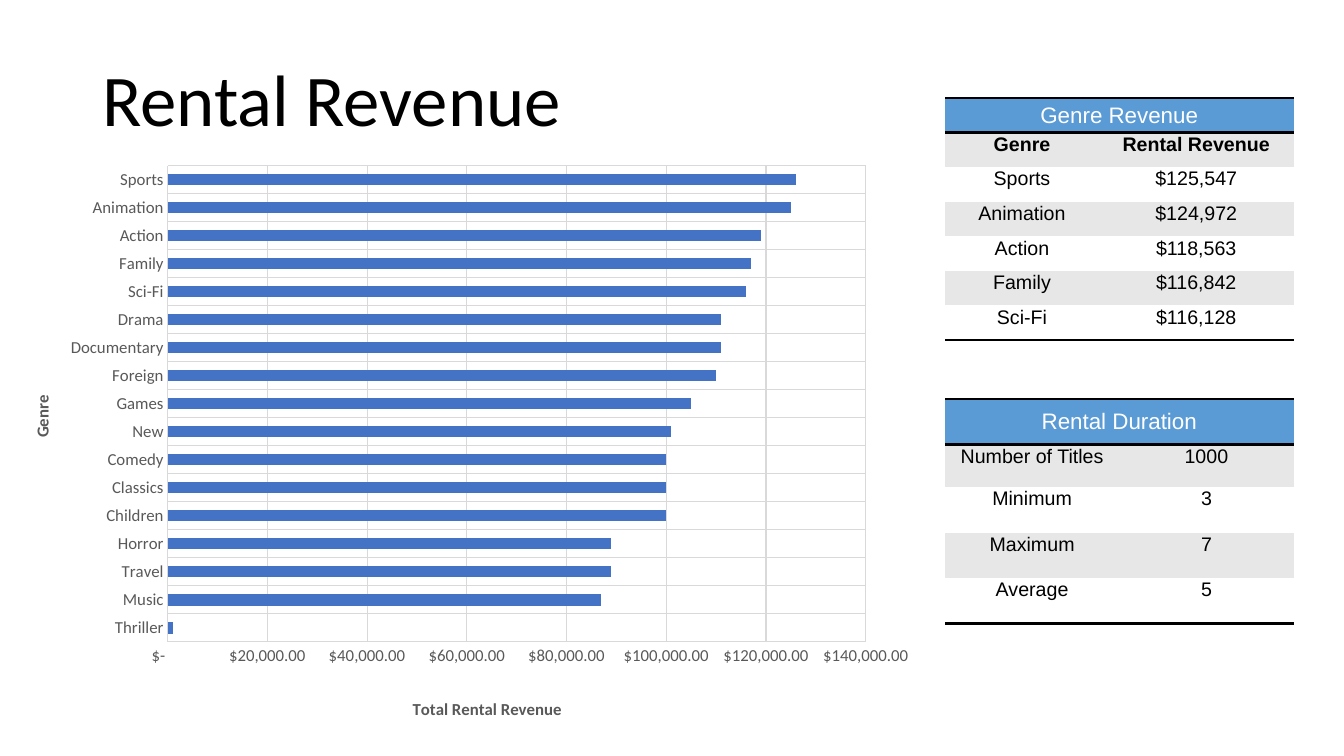
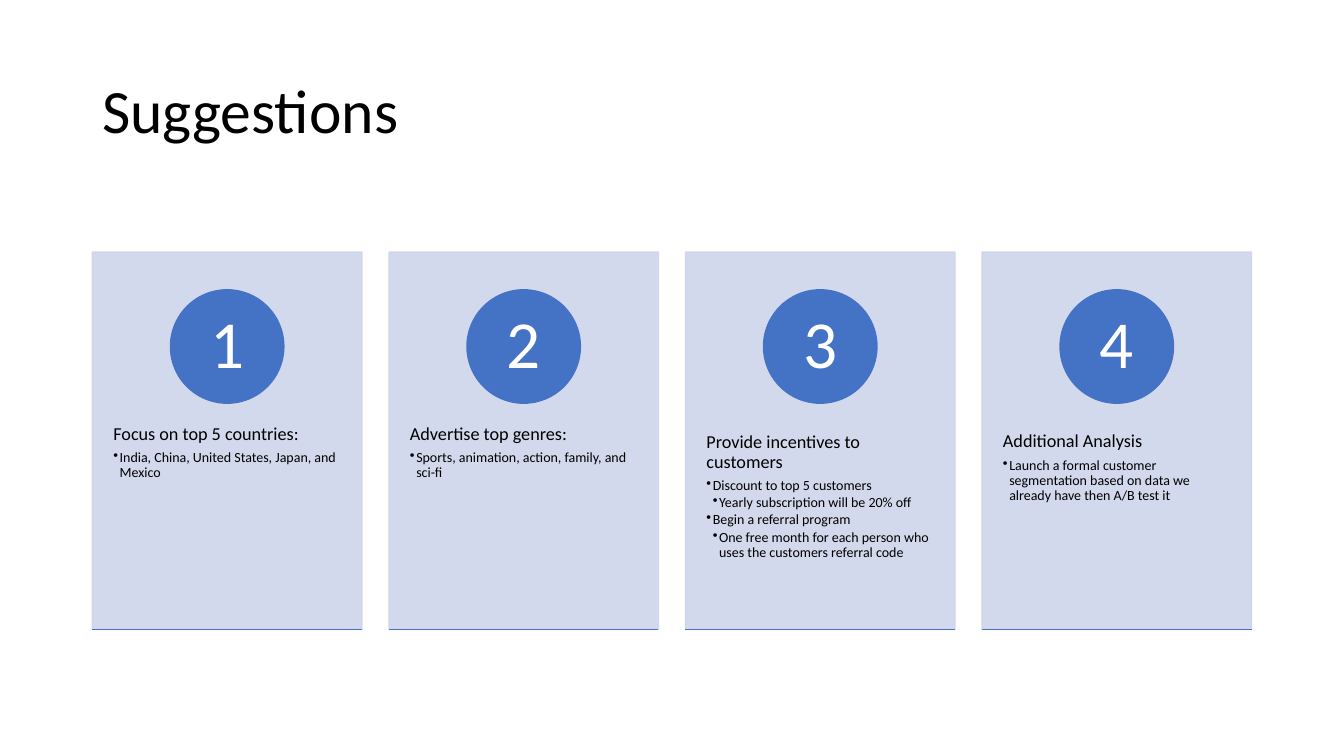
from lxml import etree
from pptx import Presentation
from pptx.chart.data import CategoryChartData
from pptx.dml.color import RGBColor
from pptx.enum import chart as ch, shapes, text
from pptx.oxml import parse_xml
from pptx.oxml.ns import nsdecls, qn
from pptx.util import Pt

COLORS = {
    "black": "000000", "white": "FFFFFF", "blue": "4472C4", "header": "5B9BD5",
    "band": "E7E7E7", "card": "CFD5EA", "grid": "D9D9D9", "axis": "595959",
}
RGB = {name: RGBColor.from_string(value) for name, value in COLORS.items()}
MARGIN, CONTENT_W = 66, 828
NO_STYLE = "{2D5ABB26-0587-4C30-8999-92F81FD0307C}"


def write(tf, content, size=14, color="black", font="Calibri", bold=False,
          align=text.PP_ALIGN.LEFT, spacing=None, after=0, level=0):
    """Add a paragraph to a text frame; level 1 and up is bulleted."""
    p = tf.paragraphs[0]
    if p.runs:
        p = tf.add_paragraph()
    if level:
        pPr = p._p.get_or_add_pPr()
        pPr.set("marL", str(Pt(4.5 * level)))
        pPr.set("indent", str(-Pt(4.5)))
        etree.SubElement(pPr, qn("a:buChar")).set("char", "•")
    p.alignment = align
    p.line_spacing = spacing
    p.space_after = Pt(after)
    r = p.add_run()
    r.text = content
    r.font.size, r.font.name, r.font.bold = Pt(size), font, bold
    r.font.color.rgb = RGB[color]


def place(parent, index, **position):
    """Give a chart part a manual layout, in fractions of the chart."""
    for old in parent.findall(qn("c:layout")):
        parent.remove(old)
    layout = parse_xml(f"<c:layout {nsdecls('c')}><c:manualLayout/></c:layout>")
    modes = {"xMode": "edge", "yMode": "edge"}
    if "w" in position:
        modes = {"layoutTarget": "inner", **modes}
    for tag, value in {**modes, **position}.items():
        etree.SubElement(layout[0], qn(f"c:{tag}")).set("val", str(value))
    parent.insert(index, layout)


prs = Presentation()
prs.slide_width, prs.slide_height = Pt(960), Pt(540)
slides = []
for title, top, height, size in [("Rental Revenue", 14.5, 118.5, 52),
                                 ("Suggestions", 28.75, 104.4, 44)]:
    s = prs.slides.add_slide(prs.slide_layouts[6])
    tf = s.shapes.add_textbox(Pt(MARGIN), Pt(top), Pt(CONTENT_W), Pt(height)).text_frame
    tf.word_wrap = True
    tf.vertical_anchor = text.MSO_ANCHOR.MIDDLE
    write(tf, title, size=size, spacing=0.9)
    slides.append(s)
revenue, suggestions = slides

# Revenue chart
genre_totals = {
    "Thriller": 1000, "Music": 87000, "Travel": 89000, "Horror": 89000,
    "Children": 100000, "Classics": 100000, "Comedy": 100000, "New": 101000,
    "Games": 105000, "Foreign": 110000, "Documentary": 111000, "Drama": 111000,
    "Sci-Fi": 116000, "Family": 117000, "Action": 119000, "Animation": 125000,
    "Sports": 126000,
}
data = CategoryChartData()
data.categories = list(genre_totals)
data.add_series("Series 1", list(genre_totals.values()))
chart = revenue.shapes.add_chart(ch.XL_CHART_TYPE.BAR_CLUSTERED, Pt(0), Pt(110),
                                 Pt(665), Pt(415), data).chart
chart.has_legend = chart.has_title = False
chart.font.size, chart.font.name = Pt(12), "Calibri"
chart.font.color.rgb = RGB["axis"]
plot = chart.plots[0]
plot.gap_width, plot.vary_by_categories = 150, False
plot.series[0].format.fill.solid()
plot.series[0].format.fill.fore_color.rgb = RGB["blue"]

genre_axis, value_axis = chart.category_axis, chart.value_axis
for axis, name, x, y in [(genre_axis, "Genre", 0.03, 0.41),
                         (value_axis, "Total Rental Revenue", 0.44, 0.93)]:
    axis.has_major_gridlines = True
    line = axis.major_gridlines.format.line
    line.color.rgb, line.width = RGB["grid"], Pt(0.75)
    axis.major_tick_mark = ch.XL_TICK_MARK.NONE
    write(axis.axis_title.text_frame, name, size=12, color="axis", bold=True)
    place(axis.axis_title._element, 1, x=x, y=y)
genre_axis.axis_title.text_frame._txBody.bodyPr.set("rot", "-5400000")
genre_axis.format.line.color.rgb = RGB["grid"]
genre_axis.format.line.width = Pt(0.75)
value_axis.format.line.fill.background()
value_axis.minimum_scale, value_axis.maximum_scale = 0, 140000
value_axis.major_unit = 20000
value_axis.tick_labels.number_format = (
    '_("$"* #,##0.00_);_("$"* \\(#,##0.00\\);_("$"* "-"??_);_(@_)')
value_axis.tick_labels.number_format_is_linked = False
place(chart._chartSpace.chart.plotArea, 0, x=0.18, y=0.02, w=0.75, h=0.82)

# Summary tables: heading, top, column widths, row heights, rows, bold first row
tables = [
    ("Genre Revenue", 70, (110, 139), [24.7] * 7,
     [("Genre", "Rental Revenue"), ("Sports", "$125,547"), ("Animation", "$124,972"),
      ("Action", "$118,563"), ("Family", "$116,842"), ("Sci-Fi", "$116,128")], True),
    ("Rental Duration", 285, (124.5, 124.5), [32.5, 30.5, 32.5, 32.5, 32.5],
     [("Number of Titles", "1000"), ("Minimum", "3"), ("Maximum", "7"),
      ("Average", "5")], False),
]
for heading, top, widths, heights, rows, bold_labels in tables:
    table = revenue.shapes.add_table(len(heights), 2, Pt(675), Pt(top),
                                     Pt(sum(widths)), Pt(sum(heights))).table
    table._tbl.tblPr.find(qn("a:tableStyleId")).text = NO_STYLE
    table.first_row = table.horz_banding = False
    for column, width in zip(table.columns, widths):
        column.width = Pt(width)
    table.cell(0, 0).merge(table.cell(0, 1))
    for i, values in enumerate([(heading, ""), *rows]):
        table.rows[i].height = Pt(heights[i])
        edges = {0: ("lnT", "lnB"), len(rows): ("lnB",)}.get(i, ())
        fill = "header" if i == 0 else "band" if i % 2 else "white"
        for j, value in enumerate(values):
            cell = table.cell(i, j)
            cell.margin_left = cell.margin_right = cell.margin_top = Pt(0.75)
            cell.margin_bottom = Pt(0)
            for edge in edges:
                cell._tc.get_or_add_tcPr().append(parse_xml(
                    f'<a:{edge} {nsdecls("a")} w="{Pt(2)}"><a:solidFill>'
                    f'<a:srgbClr val="{COLORS["black"]}"/></a:solidFill></a:{edge}>'))
            cell.fill.solid()
            cell.fill.fore_color.rgb = RGB[fill]
            if i == 0:
                cell.vertical_anchor = text.MSO_ANCHOR.MIDDLE
            if value:
                write(cell.text_frame, value, size=14 if i else 16, font="Arial",
                      color="black" if i else "white", bold=bold_labels and i == 1,
                      align=text.PP_ALIGN.CENTER)

# Suggestion cards: heading, then (level, bullet)
cards = [
    ("Focus on top 5 countries:",
     [(1, "India, China, United States, Japan, and Mexico")]),
    ("Advertise top genres:",
     [(1, "Sports, animation, action, family, and sci-fi")]),
    ("Provide incentives to customers",
     [(1, "Discount to top 5 customers"),
      (2, "Yearly subscription will be 20% off"),
      (1, "Begin a referral program"),
      (2, "One free month for each person who uses the customers referral code")]),
    ("Additional Analysis",
     [(1, "Launch a formal customer segmentation based on data we already have "
          "then A/B test it")]),
]
CARD_W = CONTENT_W / 4.3  # four cards and three gaps of a tenth of a card
CARD_TOP, CARD_H, CIRCLE = 180, 269.5, 81
for i, (heading, bullets) in enumerate(cards):
    left = MARGIN + i * CARD_W * 1.1
    card = suggestions.shapes.add_shape(shapes.MSO_SHAPE.RECTANGLE, Pt(left),
                                        Pt(CARD_TOP), Pt(CARD_W), Pt(CARD_H))
    circle = suggestions.shapes.add_shape(
        shapes.MSO_SHAPE.OVAL, Pt(left + (CARD_W - CIRCLE) / 2), Pt(CARD_TOP + 27),
        Pt(CIRCLE), Pt(CIRCLE))
    for sp, color in [(card, "card"), (circle, "blue")]:
        sp.shadow.inherit = False
        sp.fill.solid()
        sp.fill.fore_color.rgb = sp.line.color.rgb = RGB[color]
        sp.line.width = Pt(1)
    for clr in card._element.spPr.iter(qn("a:srgbClr")):
        etree.SubElement(clr, qn("a:alpha")).set("val", "90000")

    tf = circle.text_frame
    tf.margin_left = tf.margin_right = tf.margin_top = tf.margin_bottom = Pt(0)
    tf.vertical_anchor = text.MSO_ANCHOR.MIDDLE
    write(tf, str(i + 1), size=48, color="white", spacing=0.9,
          align=text.PP_ALIGN.CENTER)

    tf = suggestions.shapes.add_textbox(Pt(left), Pt(283), Pt(CARD_W), Pt(162)).text_frame
    tf.word_wrap = True
    tf.margin_left = tf.margin_right = Pt(15)
    tf.margin_top = tf.margin_bottom = Pt(26)
    write(tf, heading, size=13, spacing=0.9, after=4.5)
    for level, bullet in bullets:
        write(tf, bullet, size=10, spacing=0.9, after=1.5, level=level)

    base = suggestions.shapes.add_connector(
        shapes.MSO_CONNECTOR.STRAIGHT, Pt(left), Pt(CARD_TOP + CARD_H),
        Pt(left + CARD_W), Pt(CARD_TOP + CARD_H))
    base.line.color.rgb, base.line.width = RGB["blue"], Pt(1)
    etree.SubElement(base._element.spPr, qn("a:effectLst"))

prs.save("out.pptx")
